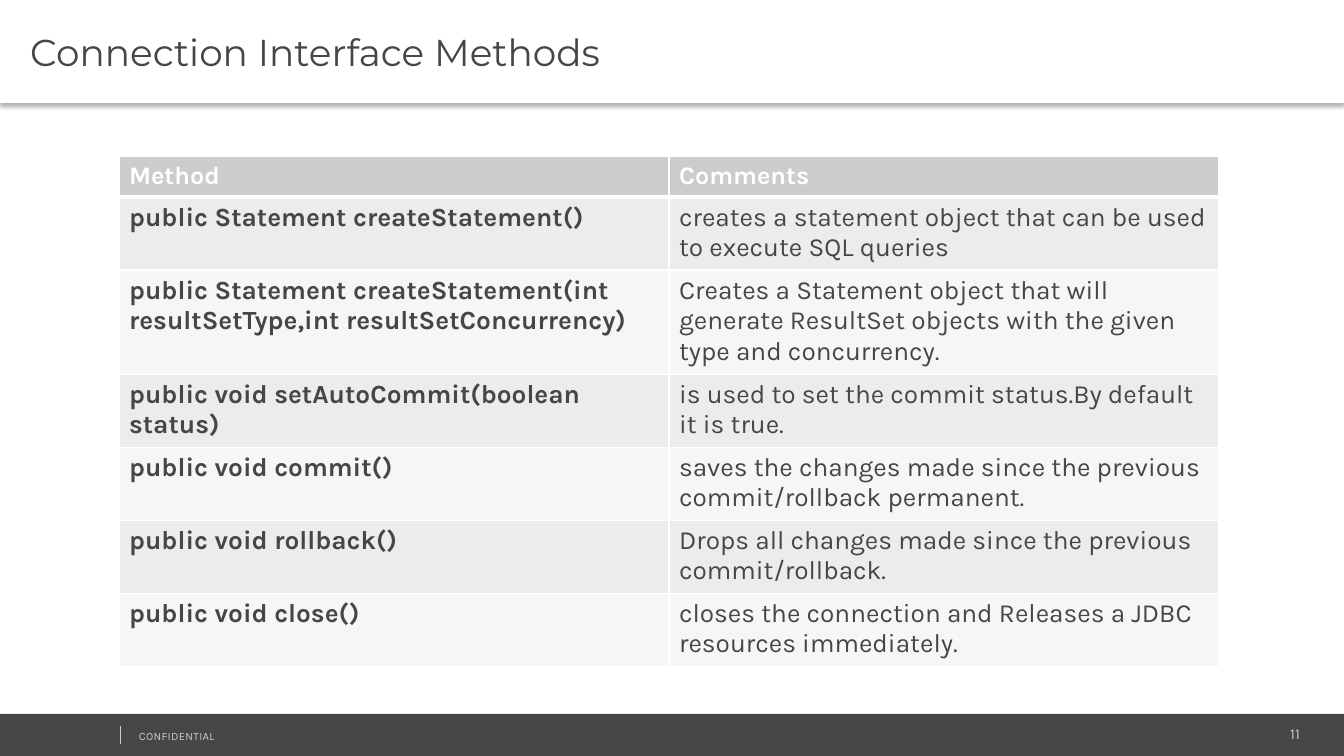
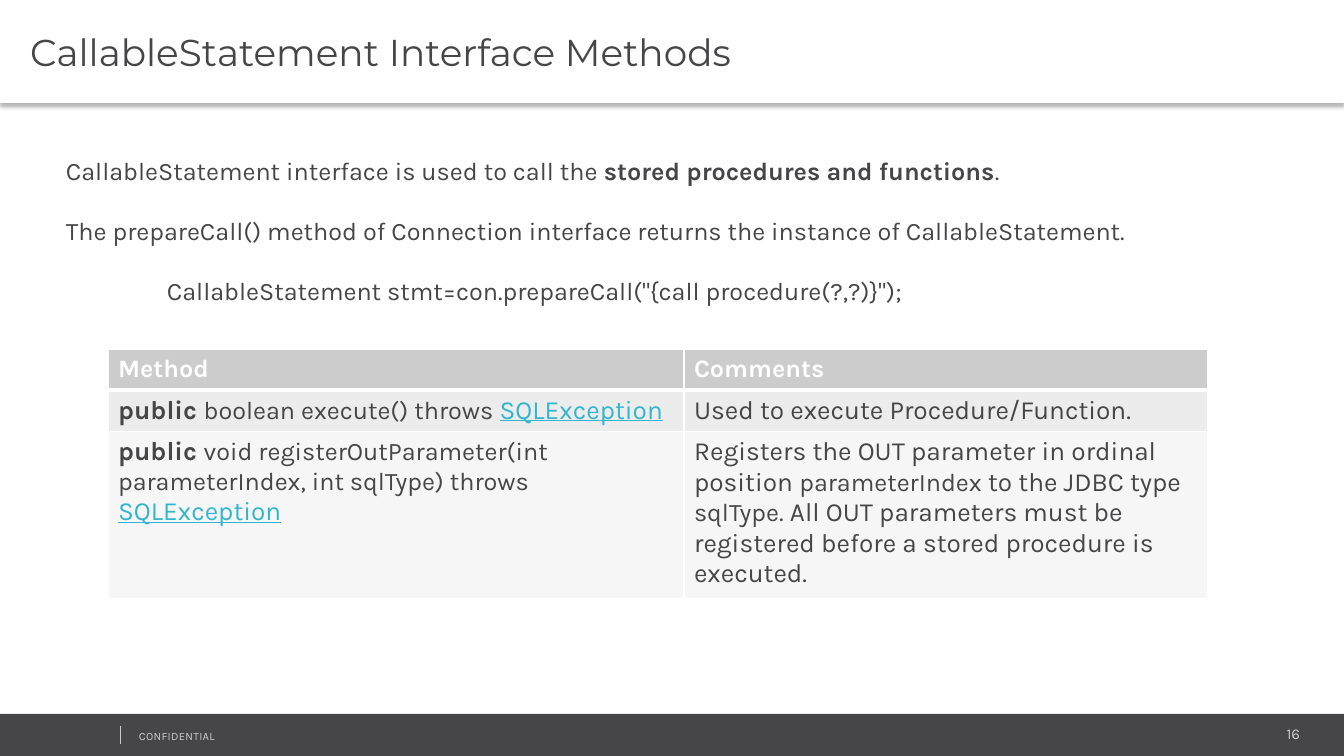
"""Build two slides on JDBC interface methods."""
from lxml.etree import SubElement
from pptx import Presentation
from pptx.dml.color import RGBColor
from pptx.enum.shapes import MSO_CONNECTOR, MSO_SHAPE
from pptx.enum.text import MSO_ANCHOR, PP_ALIGN
from pptx.oxml.ns import qn
from pptx.util import Pt

EMU_PER_PX = 914400 / 100.8
WIDTH, HEIGHT = 1344, 756

WHITE = RGBColor(0xFF, 0xFF, 0xFF)
BLACK = RGBColor(0x00, 0x00, 0x00)
CHARCOAL = RGBColor(0x46, 0x45, 0x47)
SILVER = RGBColor(0xCC, 0xCC, 0xCC)
BAND_DARK = RGBColor(0xEC, 0xEC, 0xEC)
BAND_LIGHT = RGBColor(0xF6, 0xF6, 0xF6)
LINK_BLUE = RGBColor(0x32, 0xB6, 0xCE)

TITLE = {"name": "Montserrat", "size": Pt(26.7), "color": CHARCOAL}
BODY = {"name": "Karla", "size": Pt(18), "color": CHARCOAL, "bold": False}
BODY_BOLD = BODY | {"bold": True}
HEADER = BODY_BOLD | {"color": WHITE}
COMMENT = BODY | {"size": Pt(18.7)}
METHOD = COMMENT | {"bold": True}
LINK = COMMENT | {"color": LINK_BLUE, "underline": True}
PAGE_NUMBER = {"name": "Karla", "size": Pt(10.7), "color": SILVER}
FOOTER = PAGE_NUMBER | {"size": Pt(8)}

HEADINGS = [("Method", "Comments")]
CONNECTION_METHODS = [
    ("public Statement createStatement()",
     "creates a statement object that can be used to execute SQL queries"),
    ("public Statement createStatement(int resultSetType,int resultSetConcurrency)",
     "Creates a Statement object that will generate ResultSet objects with the given "
     "type and concurrency."),
    ("public void setAutoCommit(boolean status)",
     "is used to set the commit status.By default it is true."),
    ("public void commit()",
     "saves the changes made since the previous commit/rollback permanent."),
    ("public void rollback()",
     "Drops all changes made since the previous commit/rollback."),
    ("public void close()",
     "closes the connection and Releases a JDBC resources immediately."),
]
CALLABLE_METHODS = [
    ([("public ", METHOD), ("boolean execute() throws ", BODY), ("SQLException", LINK)],
     "Used to execute Procedure/Function."),
    ([("public ", METHOD),
      ("void registerOutParameter(int parameterIndex, int sqlType) throws ", BODY),
      ("SQLException", LINK)],
     [("Registers the OUT parameter in ordinal position ", COMMENT),
      ("parameterIndex", BODY), (" to the JDBC type ", COMMENT), ("sqlType", BODY),
      (". All OUT parameters must be registered before a stored procedure is executed.",
       COMMENT)]),
]
CALLABLE_INTRO = [
    [("CallableStatement interface is used to call the ", BODY),
     ("stored procedures and functions", BODY_BOLD), (".", BODY)],
    [("The prepareCall() method of Connection interface returns the instance of "
      "CallableStatement.", BODY)],
    [('CallableStatement stmt=con.prepareCall("{call procedure(?,?)}");', BODY)],
]


def px(length):
    """Turn pixels into EMU."""
    return round(length * EMU_PER_PX)


def set_values(target, values):
    """Set attributes of an object from a dict."""
    for name, value in values.items():
        setattr(target, name, value)


def add_runs(paragraph, runs):
    """Add formatted runs to a paragraph."""
    for text, text_format in runs:
        run = paragraph.add_run()
        run.text = text
        set_values(run.font, {k: v for k, v in text_format.items() if k != "color"})
        run.font.color.rgb = text_format["color"]


def add_solid_fill(parent, color):
    """Append a solid fill to an XML element and return its colour element."""
    fill = SubElement(parent, qn("a:solidFill"))
    return SubElement(fill, qn("a:srgbClr"), val=str(color))


def add_rectangle(slide, left, top, width, height, color):
    """Add a plain filled rectangle."""
    shape = slide.shapes.add_shape(
        MSO_SHAPE.RECTANGLE, px(left), px(top), px(width), px(height))
    shape.shadow.inherit = False
    shape.fill.solid()
    shape.fill.fore_color.rgb = color
    shape.line.fill.background()
    return shape


def add_text(slide, left, top, width, height, paragraphs):
    """Add a wrapping text box and return its paragraphs."""
    frame = slide.shapes.add_textbox(px(left), px(top), px(width), px(height)).text_frame
    frame.word_wrap = True
    for index, runs in enumerate(paragraphs):
        add_runs(frame.add_paragraph() if index else frame.paragraphs[0], runs)
    return frame.paragraphs


def add_title(slide, title):
    """Add the white title band with its soft shadow."""
    band = add_rectangle(slide, 0, 0, WIDTH, 103, WHITE)
    effects = band._element.spPr.find(qn("a:effectLst"))
    shadow = SubElement(effects, qn("a:outerShdw"), blurRad=str(Pt(3.1)), dist=str(Pt(2)),
                        dir="5400000", algn="t", rotWithShape="0")
    color = SubElement(shadow, qn("a:srgbClr"), val=str(BLACK))
    SubElement(color, qn("a:alpha"), val="30000")
    frame = band.text_frame
    set_values(frame, {"word_wrap": True, "vertical_anchor": MSO_ANCHOR.MIDDLE,
                       "margin_left": px(30), "margin_right": px(7),
                       "margin_top": px(4), "margin_bottom": px(4)})
    frame.paragraphs[0].alignment = PP_ALIGN.LEFT
    add_runs(frame.paragraphs[0], [(title, TITLE)])


def add_footer(slide, number):
    """Add the dark footer band, its label, divider and page number."""
    add_rectangle(slide, 0, 714, WIDTH, 42, CHARCOAL)
    page = add_text(slide, 1091, 720, 219, 28, [[(number, PAGE_NUMBER)]])[0]
    page.alignment = PP_ALIGN.RIGHT
    label = add_text(slide, 129, 724, 341, 24, [[("CONFIDENTIAL", FOOTER)]])[0]
    label.runs[0].font._element.set("spc", "20")
    divider = slide.shapes.add_connector(
        MSO_CONNECTOR.STRAIGHT, px(120), px(726), px(120), px(744))
    divider.line.color.rgb = SILVER
    divider.line.width = Pt(0.25)
    SubElement(divider._element.spPr, qn("a:effectLst"))


def fill_cell(cell, content, text_format, color, top, bottom):
    """Give a cell its text, white borders and fill."""
    runs = [(content, text_format)] if isinstance(content, str) else content
    add_runs(cell.text_frame.paragraphs[0], runs)
    properties = cell._tc.get_or_add_tcPr()
    for side, width in {"L": 1, "R": 1, "T": top, "B": bottom}.items():
        border = SubElement(properties, qn(f"a:ln{side}"), w=str(Pt(width)))
        add_solid_fill(border, WHITE)
    cell.fill.solid()
    cell.fill.fore_color.rgb = color


def add_method_table(slide, left, top, widths, heights, methods):
    """Add a banded table of methods and comments."""
    rows = HEADINGS + methods
    table = slide.shapes.add_table(len(rows), len(widths), px(left), px(top),
                                   px(sum(widths)), px(sum(heights))).table
    for column, width in zip(table.columns, widths):
        column.width = px(width)
    for index, (row, height, contents) in enumerate(zip(table.rows, heights, rows)):
        row.height = px(height)
        formats = (METHOD, COMMENT) if index else (HEADER, HEADER)
        color = (BAND_LIGHT, BAND_DARK)[index % 2] if index else SILVER
        top_width, bottom_width = {0: (1, 3), 1: (3, 1)}.get(index, (1, 1))
        for cell, content, text_format in zip(row.cells, contents, formats):
            fill_cell(cell, content, text_format, color, top_width, bottom_width)


def add_intro(slide):
    """Add the introduction with an indented line of code."""
    paragraphs = add_text(slide, 56, 150, 1226, 194, CALLABLE_INTRO)
    for paragraph in paragraphs[:-1]:
        paragraph.space_after = Pt(21.5)
    paragraphs[-1]._p.get_or_add_pPr().set("marL", str(px(101)))


def add_slide(presentation, title, number):
    """Add a blank slide with the shared footer and title."""
    slide = presentation.slides.add_slide(presentation.slide_layouts[6])
    add_footer(slide, number)
    add_title(slide, title)
    return slide


def main():
    """Build and save the presentation."""
    presentation = Presentation()
    set_values(presentation, {"slide_width": px(WIDTH), "slide_height": px(HEIGHT)})

    slide = add_slide(presentation, "Connection Interface Methods", "11")
    add_method_table(slide, 119, 156, [550, 550], [41, 71, 101, 71, 71, 71, 71],
                     CONNECTION_METHODS)

    slide = add_slide(presentation, "CallableStatement Interface Methods", "16")
    add_intro(slide)
    add_method_table(slide, 108, 349, [576, 524], [41, 41, 166], CALLABLE_METHODS)

    presentation.save("out.pptx")


if __name__ == "__main__":
    main()
